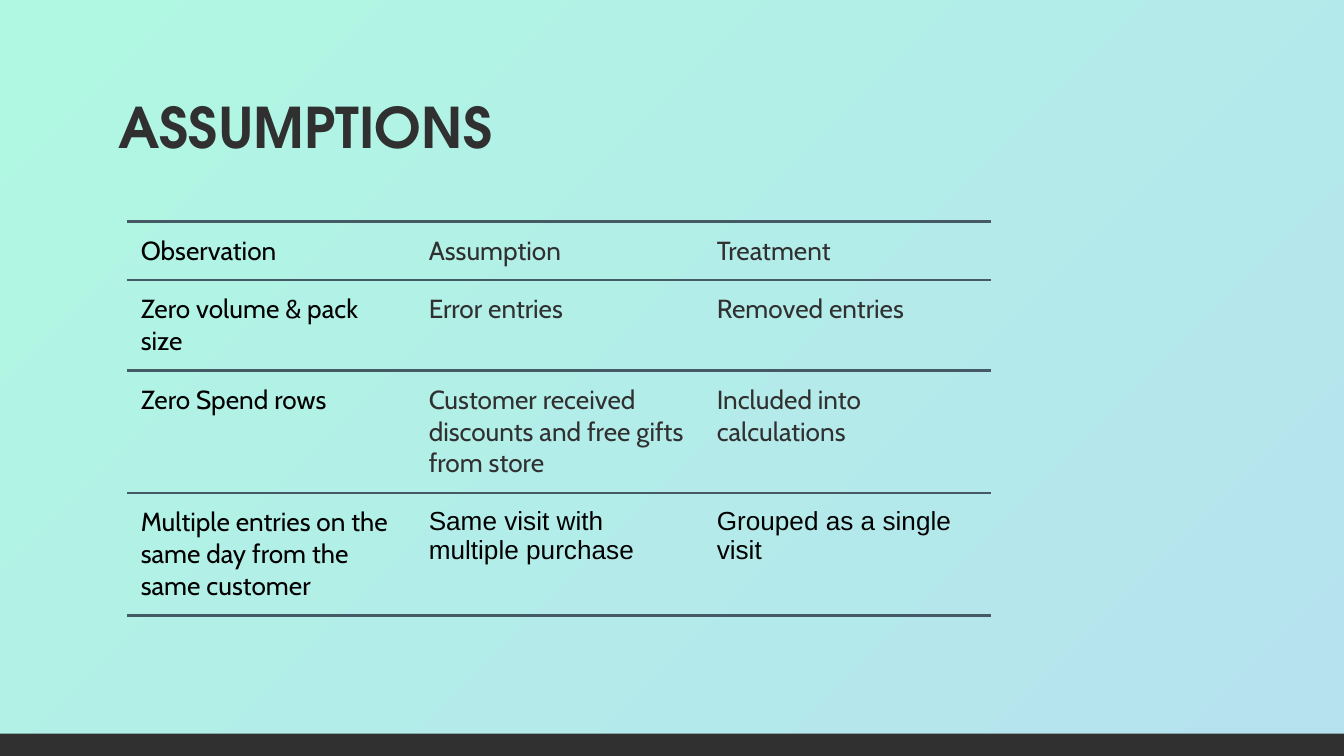
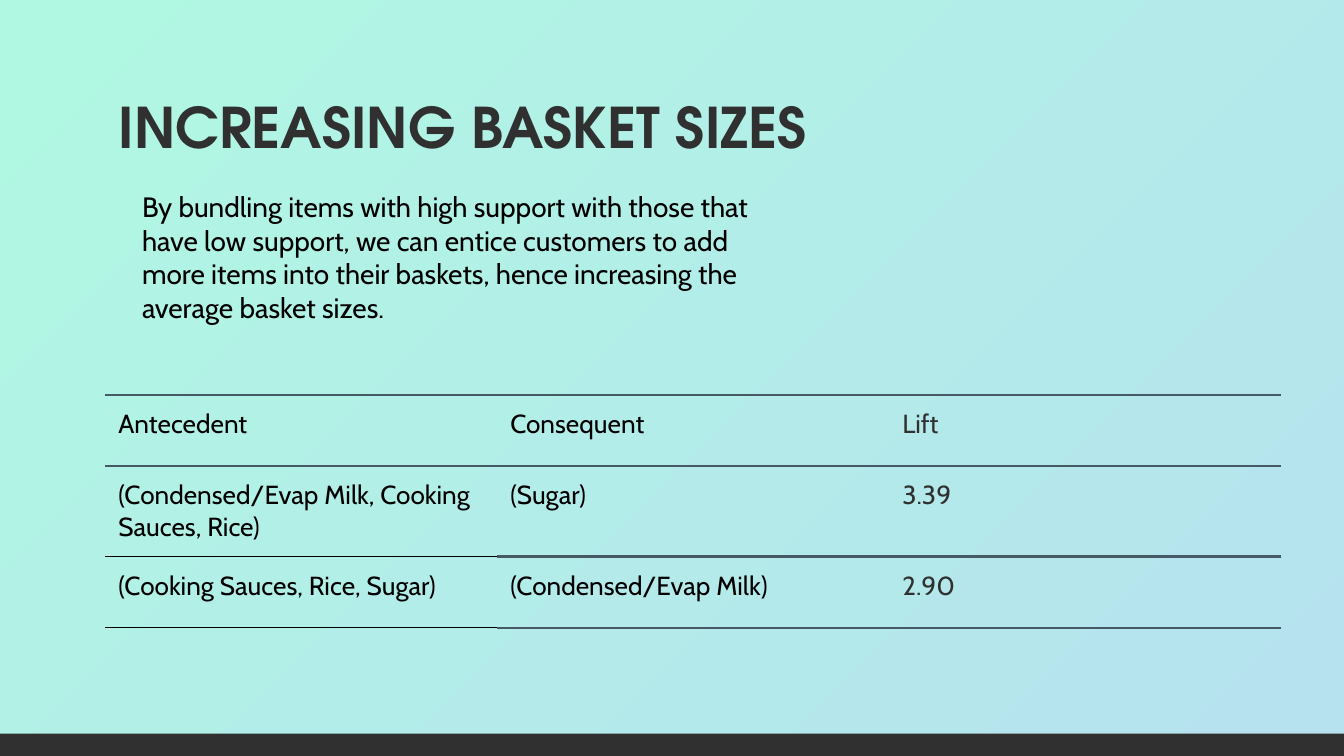
from lxml.etree import SubElement
from pptx import Presentation
from pptx.dml.color import RGBColor
from pptx.enum.shapes import MSO_SHAPE as Shape
from pptx.enum.text import MSO_ANCHOR as Anchor, MSO_AUTO_SIZE as AutoSize, PP_ALIGN as Align
from pptx.oxml.ns import qn
from pptx.util import Pt

MINT = RGBColor(0xB0, 0xF8, 0xE2)
SKY = RGBColor(0xB6, 0xE2, 0xEF)
DARK = RGBColor(0x30, 0x30, 0x30)
BLACK = RGBColor(0x00, 0x00, 0x00)
SLATE = RGBColor(0x45, 0x5A, 0x64)

TITLE_FONT = "TeX Gyre Adventor"
BODY_FONT = "Cabin"
PLAIN_FONT = "Arial"
WIDTH, HEIGHT, BAND = 720, 405, 12
INSET = Pt(7.2)

# Cells are addressed as (row, column).
TABLES = [
    {
        "title": "ASSUMPTIONS",
        "left": 68.2, "top": 118.6, "column_width": 154.3, "row_height": 31,
        "rows": [
            ["Observation", "Assumption", "Treatment"],
            ["Zero volume & pack size", "Error entries", "Removed entries"],
            ["Zero Spend rows",
             "Customer received discounts and free gifts from store",
             "Included into calculations"],
            ["Multiple entries on the same day from the same customer",
             "Same visit with multiple purchase", "Grouped as a single visit"],
        ],
        "dark_columns": {1, 2},
        "plain_cells": {(3, 1), (3, 2)},
        "thin_edges": set(),
    },
    {
        "title": "INCREASING BASKET SIZES",
        "left": 56.2, "top": 211.6, "column_width": 210, "row_height": 38.1,
        "rows": [
            ["Antecedent", "Consequent", "Lift"],
            ["(Condensed/Evap Milk, Cooking Sauces, Rice)", "(Sugar)", "3.39"],
            ["(Cooking Sauces, Rice, Sugar)", "(Condensed/Evap Milk)", "2.90"],
        ],
        "dark_columns": {2},
        "plain_cells": set(),
        "thin_edges": {(1, 0, "lnB"), (2, 0, "lnT"), (2, 0, "lnB")},
    },
]


def write(frame, text, font, size, colour, bold=False):
    """Fill a text frame with one left-aligned run, set from the top."""
    frame.word_wrap = True
    frame.vertical_anchor = Anchor.TOP
    para = frame.paragraphs[0]
    para.alignment = Align.LEFT
    span = para.add_run()
    span.text = text
    span.font.name = font
    span.font.size = Pt(size)
    span.font.bold = bold
    span.font.color.rgb = colour


def add_edge(cell, side, colour=None, width=0):
    """Draw one cell border, or hide it when no colour is given."""
    line = SubElement(cell._tc.get_or_add_tcPr(), qn(f"a:{side}"), w=str(Pt(width)))
    if colour is None:
        SubElement(line, qn("a:noFill"))
    else:
        fill = SubElement(line, qn("a:solidFill"))
        SubElement(fill, qn("a:srgbClr"), val=str(colour))


deck = Presentation()
deck.slide_width, deck.slide_height = Pt(WIDTH), Pt(HEIGHT)

backdrop = deck.slide_master.background.fill
backdrop.gradient()
backdrop.gradient_angle = 315
for stop, colour in zip(backdrop.gradient_stops, (MINT, SKY)):
    stop.color.rgb = colour

title_only = deck.slide_layouts[5]
for content in TABLES:
    page = deck.slides.add_slide(title_only)

    band = page.shapes.add_shape(
        Shape.RECTANGLE, 0, Pt(HEIGHT - BAND), Pt(WIDTH), Pt(BAND))
    band.shadow.inherit = False
    band.fill.solid()
    band.fill.fore_color.rgb = DARK
    band.line.fill.background()

    title = page.shapes.title
    title.left, title.top, title.width, title.height = Pt(56.2), Pt(42.5), Pt(607.6), Pt(46)
    frame = title.text_frame
    frame.auto_size = AutoSize.NONE
    frame.margin_left = frame.margin_right = frame.margin_top = frame.margin_bottom = INSET
    write(frame, content["title"], TITLE_FONT, 30, DARK, bold=True)

    rows = content["rows"]
    table = page.shapes.add_table(
        len(rows), len(rows[0]), Pt(content["left"]), Pt(content["top"]),
        Pt(content["column_width"] * len(rows[0])),
        Pt(content["row_height"] * len(rows))).table
    table.first_row = table.horz_banding = False
    for column in table.columns:
        column.width = Pt(content["column_width"])
    for r, texts in enumerate(rows):
        table.rows[r].height = Pt(content["row_height"])
        for c, text in enumerate(texts):
            cell = table.cell(r, c)
            cell.margin_left = cell.margin_right = INSET
            cell.margin_top = cell.margin_bottom = INSET
            plain = (r, c) in content["plain_cells"]
            dark = c in content["dark_columns"] and not plain
            write(cell.text_frame, text, PLAIN_FONT if plain else BODY_FONT,
                  14, DARK if dark else BLACK)
            add_edge(cell, "lnL")
            add_edge(cell, "lnR")
            for side in ("lnT", "lnB"):
                if (r, c, side) in content["thin_edges"]:
                    add_edge(cell, side, BLACK, 0.75)
                else:
                    add_edge(cell, side, SLATE, 1.5)
            cell.fill.background()

# The last page also explains its table.
box = page.shapes.add_textbox(Pt(69), Pt(94.3), Pt(358.6), Pt(79.2))
frame = box.text_frame
frame.margin_left = frame.margin_right = frame.margin_top = frame.margin_bottom = INSET
write(frame,
      "By bundling items with high support with those that have low support, "
      "we can entice customers to add more items into their baskets, hence "
      "increasing the average basket sizes.",
      BODY_FONT, 15, BLACK)

deck.save("out.pptx")
